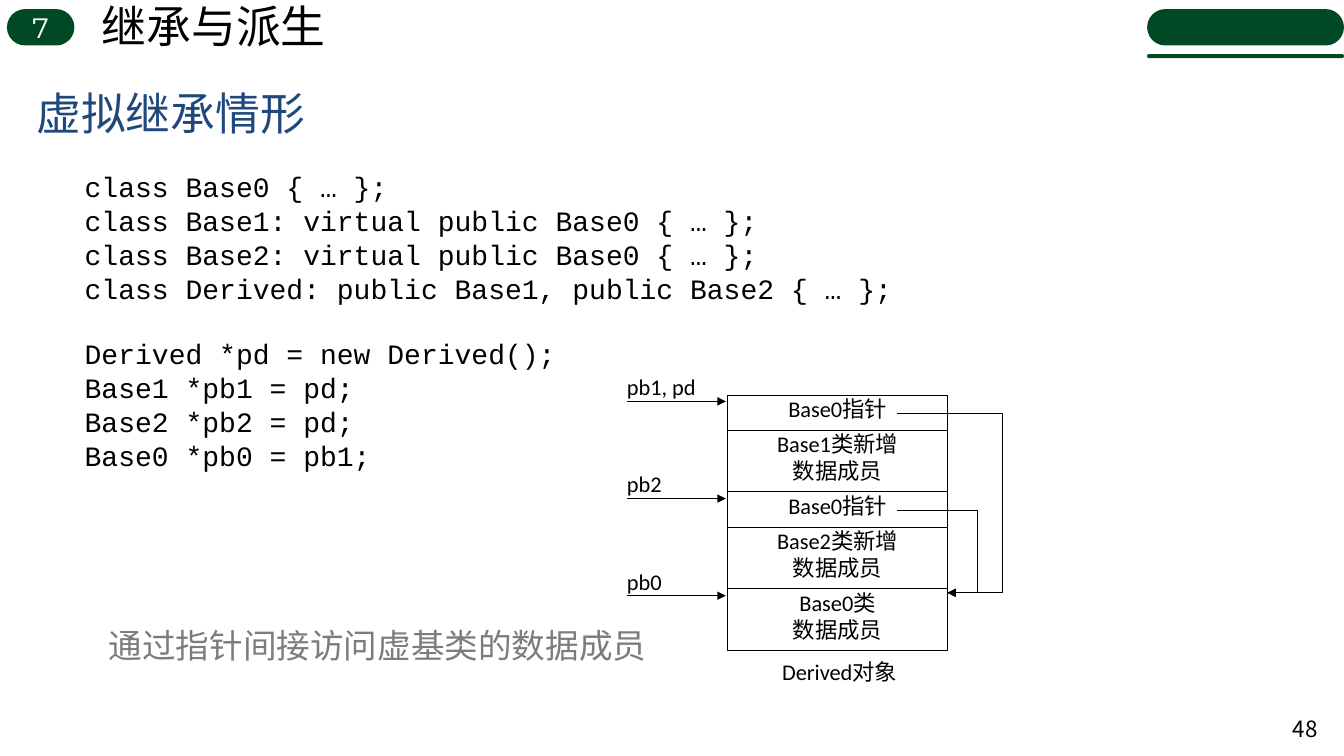
from lxml.etree import SubElement
from pptx import Presentation
from pptx.dml.color import RGBColor
from pptx.enum.shapes import MSO_CONNECTOR as Connector, MSO_SHAPE as Shape
from pptx.enum.text import MSO_ANCHOR as Anchor, MSO_AUTO_SIZE as AutoSize, PP_ALIGN as Align
from pptx.oxml.ns import qn
from pptx.util import Pt

COLORS = {"green": "014924", "white": "FFFFFF", "black": "000000",
          "blue": "1F497D", "gray": "7C7C7C"}


def color(name):
    return RGBColor.from_string(COLORS[name])


class SlideBuilder:
    label_font = "Calibri"
    label_size = 16
    line_width = 0.75

    def __init__(self, slide):
        self.slide = slide

    def set_text(self, shape, lines, size, font, ink="black", align=Align.LEFT,
                 anchor=Anchor.TOP, wrap=True, inset=None):
        frame = shape.text_frame
        frame.auto_size = AutoSize.NONE
        frame.word_wrap = wrap
        frame.vertical_anchor = anchor
        if inset is not None:
            frame.margin_left = frame.margin_right = Pt(inset)
            frame.margin_top = frame.margin_bottom = Pt(inset)
        frame.text = "\n".join(lines)
        for paragraph in frame.paragraphs:
            paragraph.alignment = align
            paragraph.font.size = Pt(size)
            paragraph.font.name = font
            paragraph.font.color.rgb = color(ink)

    def place(self, shape, left, top, width, height):
        shape.left, shape.top = Pt(left), Pt(top)
        shape.width, shape.height = Pt(width), Pt(height)
        return shape

    def text(self, box, lines, size, font, **style):
        shape = self.slide.shapes.add_textbox(*map(Pt, box))
        self.set_text(shape, lines, size, font, **style)

    def label(self, box, line, align=Align.LEFT):
        self.text(box, [line], self.label_size, self.label_font, align=align, inset=0)

    def title(self, box, line, size, font, ink):
        shape = self.place(self.slide.shapes.title, *box)
        self.set_text(shape, [line], size, font, ink=ink, anchor=Anchor.MIDDLE)

    def code(self, box, blocks, size, font, leading=1.3, block_gap=24):
        shape = self.place(self.slide.placeholders[1], *box)
        frame = shape.text_frame
        frame.auto_size = AutoSize.NONE
        frame.text = "\n".join(line for block in blocks for line in block)
        for paragraph in frame.paragraphs:
            properties = paragraph._p.get_or_add_pPr()
            properties.set("marL", str(Pt(18)))
            properties.set("indent", str(-Pt(18)))
            SubElement(properties, qn("a:buNone"))
            paragraph.line_spacing = 0.95
            paragraph.space_before = Pt(leading)
            paragraph.font.size = Pt(size)
            paragraph.font.name = font
            paragraph.font.color.rgb = color("black")
        first_line = 0
        for block in blocks:
            gap = block_gap if first_line else 0
            frame.paragraphs[first_line].space_before = Pt(gap)
            first_line += len(block)

    def pill(self, box):
        shape = self.slide.shapes.add_shape(Shape.ROUNDED_RECTANGLE, *map(Pt, box))
        shape.adjustments[0] = 0.5
        shape.shadow.inherit = False
        shape.fill.solid()
        shape.fill.fore_color.rgb = color("green")
        shape.line.fill.background()
        return shape

    def cell(self, box, lines):
        shape = self.slide.shapes.add_shape(Shape.RECTANGLE, *map(Pt, box))
        shape.shadow.inherit = False
        shape.fill.background()
        shape.line.color.rgb = color("black")
        shape.line.width = Pt(self.line_width)
        self.set_text(shape, lines, self.label_size, self.label_font,
                      align=Align.CENTER, inset=0)

    def arrow(self, start, end, bend_x=None):
        kind = Connector.STRAIGHT if bend_x is None else Connector.ELBOW
        connector = self.slide.shapes.add_connector(kind, *map(Pt, start + end))
        connector.line.color.rgb = color("black")
        connector.line.width = Pt(self.line_width)
        properties = connector._element.spPr
        SubElement(properties.find(qn("a:ln")), qn("a:tailEnd"), type="triangle")
        SubElement(properties, qn("a:effectLst"))
        if bend_x is not None:
            ratio = round(100000 * (bend_x - start[0]) / (end[0] - start[0]))
            guides = properties.find(qn("a:prstGeom")).find(qn("a:avLst"))
            SubElement(guides, qn("a:gd"), name="adj1", fmla=f"val {ratio}")


def main():
    presentation = Presentation()
    presentation.slide_width, presentation.slide_height = Pt(960), Pt(540)
    slide = presentation.slides.add_slide(presentation.slide_layouts[1])
    builder = SlideBuilder(slide)

    # Chapter header
    badge = builder.pill((5, 6.5, 48.2, 26))
    builder.set_text(badge, ["7"], 20, "Montserrat", ink="white",
                     align=Align.CENTER, anchor=Anchor.MIDDLE)
    builder.text((65.5, -4.3, 176.4, 46), ["继承与派生"], 32, "Arial", wrap=False)
    for top, height in ((6.5, 26), (38.6, 3)):
        builder.pill((819.4, top, 140.6, height))

    # Title, code and remark
    builder.title((18.7, 49, 648, 63.4), "虚拟继承情形", 32, "Montserrat", "blue")
    builder.code((53.3, 119.5, 658, 368.6), [
        ["class Base0 { … };",
         "class Base1: virtual public Base0 { … };",
         "class Base2: virtual public Base0 { … };",
         "class Derived: public Base1, public Base2 { … };"],
        ["Derived *pd = new Derived();",
         "Base1 *pb1 = pd;",
         "Base2 *pb2 = pd;",
         "Base0 *pb0 = pb1;"],
    ], 20, "Courier New")
    builder.text((70.6, 442.8, 402.5, 36.7), ["通过指针间接访问虚基类的数据成员"],
                 24, "Times New Roman", ink="gray", wrap=False)

    # Memory layout of the derived object
    left, width, top = 519.8, 157, 282.2
    members = [["Base0指针"], ["Base1类新增", "数据成员"],
               ["Base0指针"], ["Base2类新增", "数据成员"],
               ["Base0类", "数据成员"]]
    for lines in members:
        height = 25.3 if len(lines) == 1 else 43.9
        builder.cell((left, top, width, height), lines)
        top += height
    builder.label((550.8, 470.2, 98, 23), "Derived对象", Align.CENTER)

    # Pointers into the object
    for index, name in enumerate(("pb1, pd", "pb2", "pb0")):
        y = 286.7 + 69.4 * index
        builder.label((447.8, y - 20, 82.8, 22), name)
        builder.arrow((447.8, y), (518.4, y))

    # Links from the base pointers to the shared base
    for y, bend_x in ((295.2, 715.9), (364.3, 698.2)):
        builder.arrow((641, y), (left + width, 423.4), bend_x)

    # Page number
    builder.text((913, 506.2, 35.3, 28.8), ["48"], 16, "Noto Sans CJK SC",
                 align=Align.RIGHT, anchor=Anchor.MIDDLE)

    presentation.save("out.pptx")


if __name__ == "__main__":
    main()
